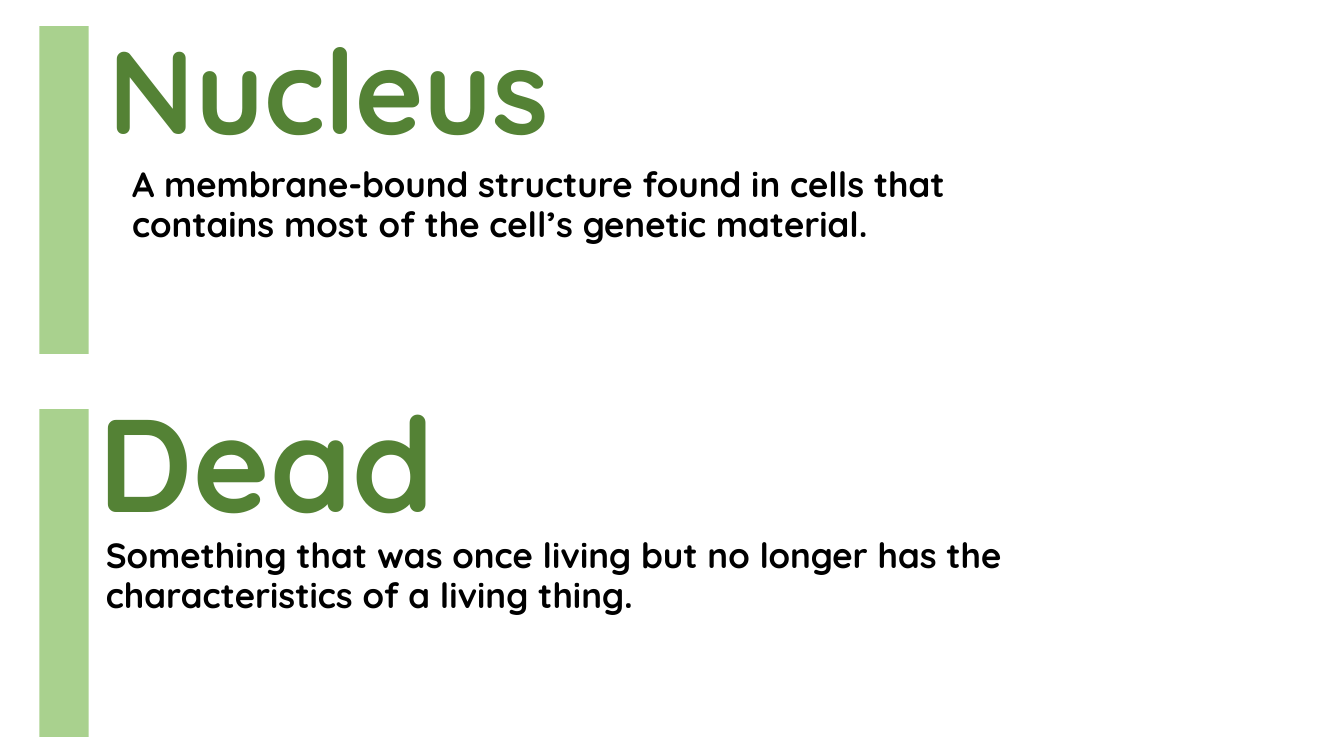
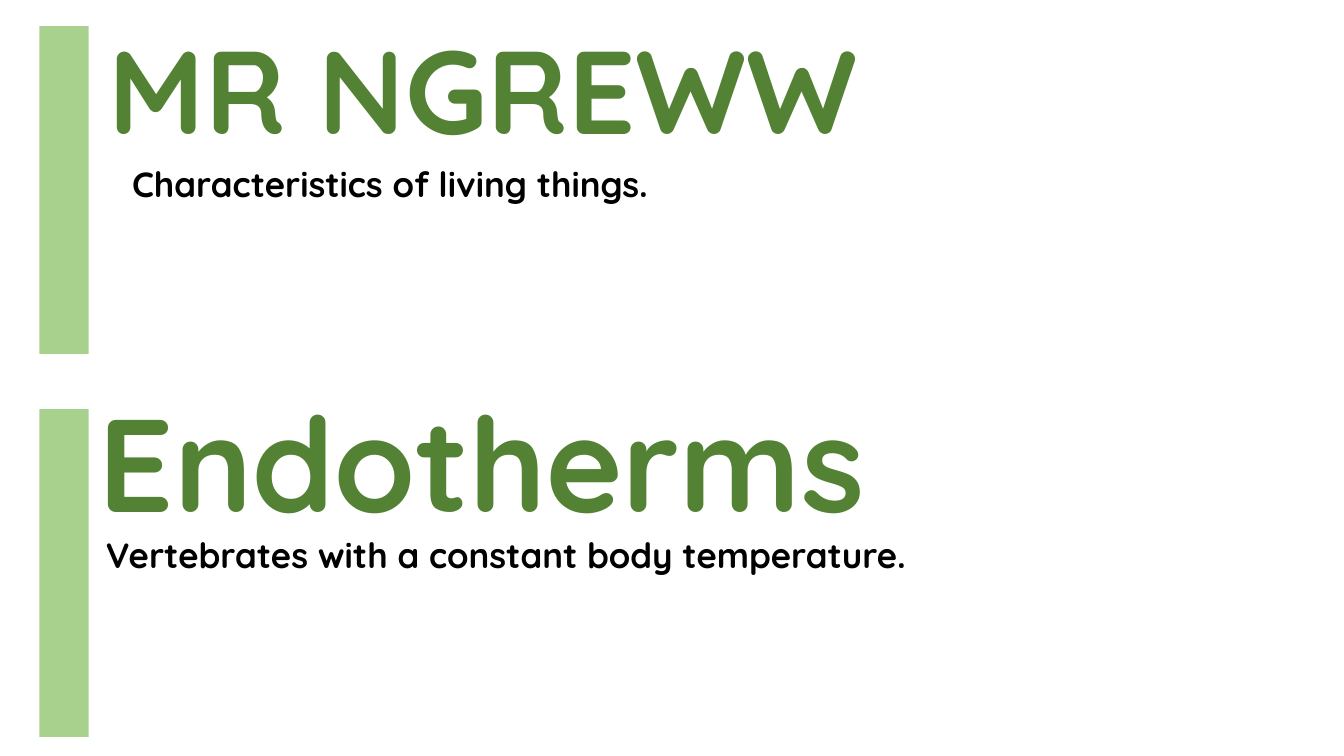
from dataclasses import dataclass

from lxml import etree
from pptx import Presentation
from pptx.dml.color import RGBColor
from pptx.enum.shapes import MSO_SHAPE as Shape
from pptx.enum.text import MSO_ANCHOR as Anchor, MSO_AUTO_SIZE as AutoSize, PP_ALIGN as Align
from pptx.oxml.ns import qn
from pptx.util import Inches, Pt


@dataclass(frozen=True)
class Theme:
    font: str = "Quicksand"
    bar: RGBColor = RGBColor(0xA9, 0xD1, 0x8E)
    term: RGBColor = RGBColor(0x54, 0x82, 0x35)
    definition: RGBColor = RGBColor(0, 0, 0)
    definition_size: int = 25
    definition_spacing: float = 0.95


@dataclass(frozen=True)
class Card:
    """Text offsets are measured from the top left corner of the bar."""
    top: float
    term_index: int
    definition_index: int
    term_size: int
    term_offset: tuple
    definition_offset: tuple


THEME = Theme()
COMPARISON_LAYOUT = 4
UNUSED_INDEX = 1
BAR_LEFT, BAR_WIDTH, BAR_HEIGHT = 0.39, 0.49, 3.25
TERM_SIZE = (9.59, 1.7)
DEFINITION_SIZE = (9.45, 2.18)

CARDS = (
    Card(0.26, 0, 2, 84, (0.59, -0.24), (0.82, 1.33)),
    Card(4.06, 3, 4, 94, (0.49, -0.35), (0.56, 1.21)),
)

SLIDES = (
    (
        ("Nucleus", "A membrane-bound structure found in cells that contains "
                    "most of the cell’s genetic material."),
        ("Dead", "Something that was once living but no longer has the "
                 "characteristics of a living thing."),
    ),
    (
        ("MR NGREWW", "Characteristics of living things."),
        ("Endotherms", "Vertebrates with a constant body temperature."),
    ),
)


def add_bar(slide, top):
    bar = slide.shapes.add_shape(
        Shape.RECTANGLE, Inches(BAR_LEFT), Inches(top), Inches(BAR_WIDTH), Inches(BAR_HEIGHT))
    bar.shadow.inherit = False
    bar.fill.solid()
    bar.fill.fore_color.rgb = THEME.bar
    bar.line.fill.background()


def remove_bullet(paragraph):
    properties = paragraph._p.get_or_add_pPr()
    properties.set("marL", "0")
    properties.set("indent", "0")
    etree.SubElement(properties, qn("a:buNone"))


def fill_placeholder(shape, text, box, size, color, anchor, spacing=1.0):
    shape.left, shape.top, shape.width, shape.height = map(Inches, box)
    frame = shape.text_frame
    frame.text = text
    frame.word_wrap = True
    frame.auto_size = AutoSize.NONE
    frame.vertical_anchor = anchor
    paragraph = frame.paragraphs[0]
    remove_bullet(paragraph)
    paragraph.alignment = Align.LEFT
    paragraph.space_before = Pt(0)
    paragraph.line_spacing = spacing
    font = paragraph.runs[0].font
    font.name, font.size, font.bold = THEME.font, Pt(size), True
    font.color.rgb = color


def add_card(slide, card, term, definition):
    def box(offset, size):
        return (BAR_LEFT + offset[0], card.top + offset[1], *size)

    placeholders = {shape.placeholder_format.idx: shape for shape in slide.placeholders}
    add_bar(slide, card.top)
    fill_placeholder(placeholders[card.term_index], term, box(card.term_offset, TERM_SIZE),
                     card.term_size, THEME.term, Anchor.MIDDLE)
    fill_placeholder(placeholders[card.definition_index], definition,
                     box(card.definition_offset, DEFINITION_SIZE), THEME.definition_size,
                     THEME.definition, Anchor.TOP, THEME.definition_spacing)


def add_vocabulary_slide(presentation, entries):
    slide = presentation.slides.add_slide(presentation.slide_layouts[COMPARISON_LAYOUT])
    for shape in list(slide.placeholders):
        if shape.placeholder_format.idx == UNUSED_INDEX:
            shape.element.getparent().remove(shape.element)
    for card, (term, definition) in zip(CARDS, entries):
        add_card(slide, card, term, definition)


def main():
    presentation = Presentation()
    presentation.slide_width, presentation.slide_height = Inches(13.33), Inches(7.5)
    for entries in SLIDES:
        add_vocabulary_slide(presentation, entries)
    presentation.save("out.pptx")


if __name__ == "__main__":
    main()
